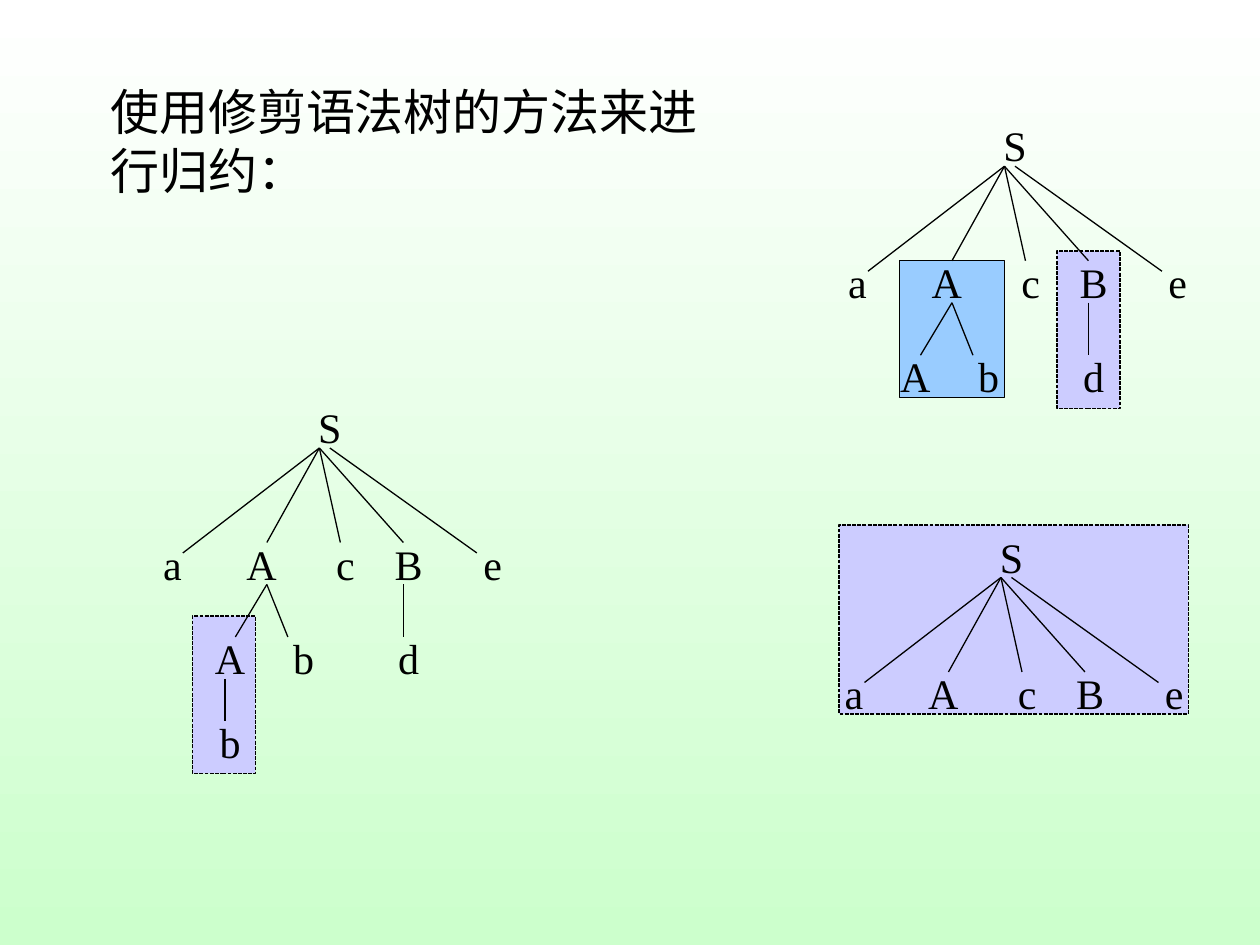
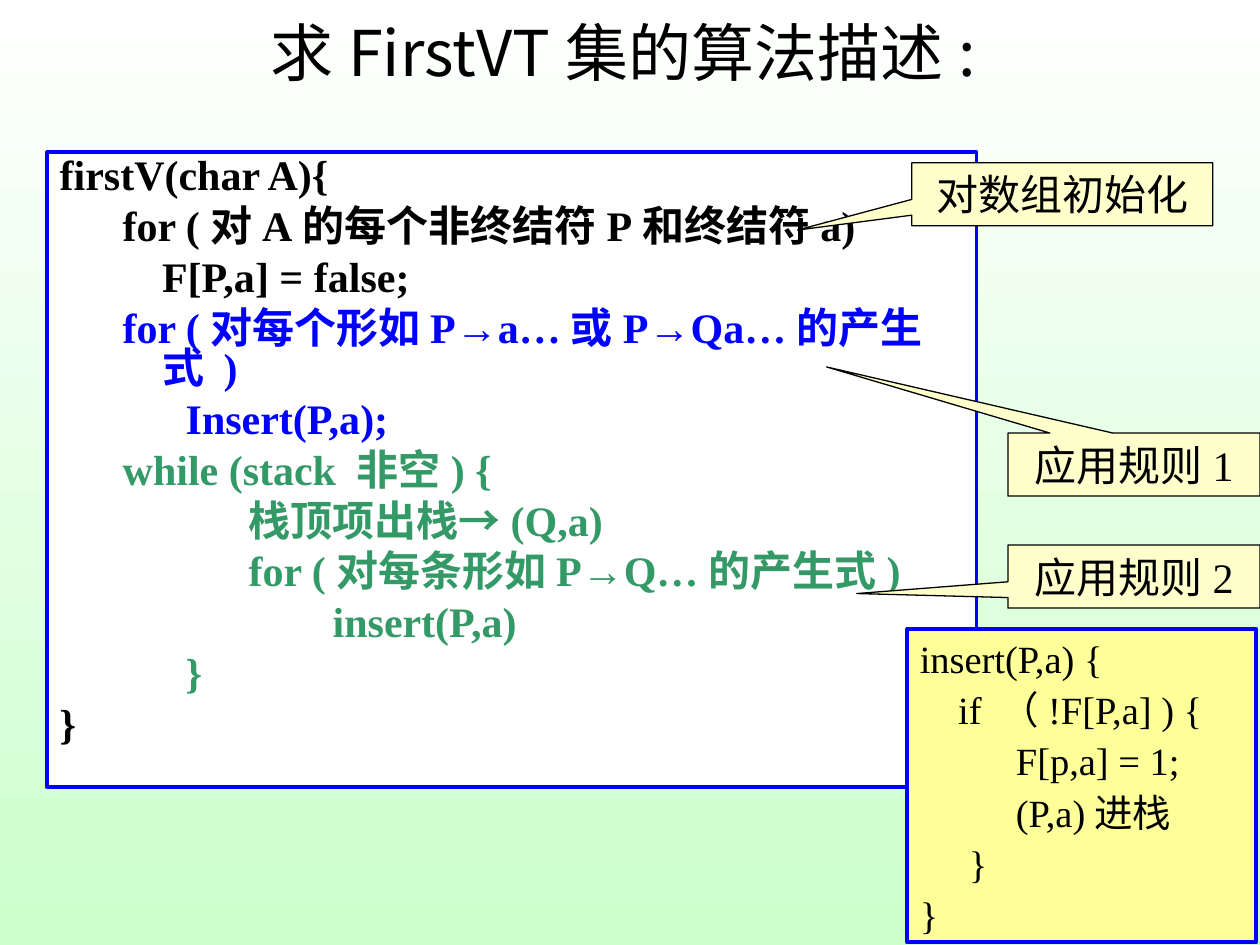
from lxml.etree import SubElement
from pptx import Presentation
from pptx.dml.color import RGBColor
from pptx.enum.dml import MSO_LINE
from pptx.enum.shapes import MSO_CONNECTOR, MSO_SHAPE
from pptx.enum.text import MSO_ANCHOR, MSO_AUTO_SIZE, PP_ALIGN
from pptx.oxml.ns import qn
from pptx.util import Pt

BLACK = "000000"
WHITE = "FFFFFF"
MINT = "CCFFCC"
BLUE = "0000FF"
GREEN = "339966"
LILAC = "CCCCFF"
SKY = "99CCFF"
CREAM = "FFFFCC"
YELLOW = "FFFF99"
LATIN_FONT = "Times New Roman"
CHINESE_FONT = "Noto Sans CJK SC"
ARROW_FONT = "Arial"

ROOT = [("S", 0, 0, 36)]
CHILDREN = [("a", -84, 78, 24), ("A", -36, 78, 30), ("c", 12, 78, 30),
            ("B", 48, 78, 30), ("e", 90, 78, 42)]
GRANDCHILDREN = [("A", -54, 132, 30), ("b", -12, 132, 30), ("d", 48, 132, 30)]
LEAF = [("b", -54, 180, 30)]

ROOT_BRANCHES = [(12, 30, -66, 90), (12, 30, -18, 84), (12, 30, 24, 84),
                 (12, 30, 60, 84), (18, 30, 102, 90)]
CHILD_BRANCHES = [(-18, 108, -36, 138), (-18, 108, -6, 138), (60, 108, 60, 138)]
LEAF_BRANCH = [(-42, 162, -42, 186)]

NODE_LEVELS = [ROOT, CHILDREN, GRANDCHILDREN, LEAF]
BRANCH_LEVELS = [[], ROOT_BRANCHES, CHILD_BRANCHES, LEAF_BRANCH]

FIRST_VT_CODE = [
    ("firstV(char A){", 0, BLACK),
    ("for (对A的每个非终结符P和终结符a)", 36, BLACK),
    ("F[P,a] = false;", 58.5, BLACK),
    ("for (对每个形如P→a…或P→Qa…的产生式 )", 36, BLUE),
    ("Insert(P,a);", 72, BLUE),
    ("while (stack 非空) {", 36, GREEN),
    ("栈顶项出栈→(Q,a)", 108, GREEN),
    ("for (对每条形如P→Q…的产生式)", 108, GREEN),
    ("insert(P,a)", 156, GREEN),
    ("}", 72, GREEN),
    ("}", 0, BLACK),
]
INSERT_CODE = [
    ("insert(P,a) {", 0, BLACK),
    ("if （!F[P,a] ) {", 22, BLACK),
    ("F[p,a] = 1;", 55, BLACK),
    ("(P,a)进栈", 55, BLACK),
    ("}", 28, BLACK),
    ("}", 0, BLACK),
]


def color(value):
    return RGBColor.from_string(value)


class Deck:
    def __init__(self):
        self.presentation = Presentation()
        self.presentation.slide_width = Pt(720)
        self.presentation.slide_height = Pt(540)
        self.slide = None
        fill = self.presentation.slide_master.background.fill
        fill.gradient()
        fill.gradient_angle = 270
        for stop, value in zip(fill.gradient_stops, (WHITE, MINT)):
            stop.color.rgb = color(value)

    def add_slide(self, layout_name):
        layout = self.presentation.slide_layouts.get_by_name(layout_name)
        self.slide = self.presentation.slides.add_slide(layout)

    def frame(self, shape, side_margin=7.2, anchor=MSO_ANCHOR.TOP):
        text_frame = shape.text_frame
        text_frame.word_wrap = True
        text_frame.auto_size = MSO_AUTO_SIZE.NONE
        text_frame.vertical_anchor = anchor
        text_frame.margin_left = text_frame.margin_right = Pt(side_margin)
        text_frame.margin_top = text_frame.margin_bottom = Pt(3.6)
        return text_frame

    def fill_paragraph(self, paragraph, text, size=24, align=PP_ALIGN.LEFT,
                       value=BLACK, bold=False, font_name=LATIN_FONT):
        for part in text.replace("→", "\n→\n").split("\n"):
            if part:
                run = paragraph.add_run()
                run.text = part
                if part == "→":
                    run.font.name = ARROW_FONT
        paragraph.alignment = align
        font = paragraph.font
        font.size = Pt(size)
        font.bold = bold
        font.color.rgb = color(value)
        font.name = font_name
        properties = paragraph._p.pPr.find(qn("a:defRPr"))
        SubElement(properties, qn("a:ea"), typeface=CHINESE_FONT)

    def title(self, text, left, top, width, height):
        shape = self.slide.shapes.title
        shape.left, shape.top = Pt(left), Pt(top)
        shape.width, shape.height = Pt(width), Pt(height)
        text_frame = self.frame(shape, anchor=MSO_ANCHOR.MIDDLE)
        self.fill_paragraph(text_frame.paragraphs[0], text, 36, PP_ALIGN.CENTER,
                            font_name=CHINESE_FONT)

    def text(self, text, left, top, width, height, size=24,
             align=PP_ALIGN.CENTER, side_margin=0):
        shape = self.slide.shapes.add_textbox(Pt(left), Pt(top), Pt(width), Pt(height))
        text_frame = self.frame(shape, side_margin)
        self.fill_paragraph(text_frame.paragraphs[0], text, size, align)

    def box(self, left, top, width, height, fill, line=BLACK, weight=0.75,
            kind=MSO_SHAPE.RECTANGLE, dash=None):
        shape = self.slide.shapes.add_shape(kind, Pt(left), Pt(top), Pt(width), Pt(height))
        shape.shadow.inherit = False
        shape.fill.solid()
        shape.fill.fore_color.rgb = color(fill)
        shape.line.color.rgb = color(line)
        shape.line.width = Pt(weight)
        if dash:
            shape.line.dash_style = dash
        return shape

    def code(self, lines, left, top, width, height, fill, size, space_before,
             line_spacing=1.0, bold=False, hanging=0):
        shape = self.box(left, top, width, height, fill, BLUE, 2.25)
        text_frame = self.frame(shape)
        for index, (text, indent, value) in enumerate(lines):
            paragraph = text_frame.add_paragraph() if index else text_frame.paragraphs[0]
            paragraph.space_before = Pt(space_before)
            paragraph.line_spacing = line_spacing
            self.fill_paragraph(paragraph, text, size, value=value, bold=bold)
            properties = paragraph._p.pPr
            properties.set("marL", str(Pt(indent + hanging)))
            properties.set("indent", str(Pt(-hanging)))

    def callout(self, text, left, top, width, pointer):
        shape = self.box(left, top, width, 36, CREAM,
                         kind=MSO_SHAPE.RECTANGULAR_CALLOUT)
        shape.adjustments[0], shape.adjustments[1] = pointer
        text_frame = self.frame(shape)
        self.fill_paragraph(text_frame.paragraphs[0], text, align=PP_ALIGN.CENTER)

    def line(self, start_x, start_y, end_x, end_y):
        connector = self.slide.shapes.add_connector(
            MSO_CONNECTOR.STRAIGHT, Pt(start_x), Pt(start_y), Pt(end_x), Pt(end_y))
        connector.line.color.rgb = color(BLACK)
        connector.line.width = Pt(0.75)
        SubElement(connector._element.spPr, qn("a:effectLst"))

    def tree(self, left, top, depth):
        for nodes in NODE_LEVELS[:depth]:
            for label, x, y, width in nodes:
                self.text(label, left + x, top + y, width, 36)
        for branches in BRANCH_LEVELS[:depth]:
            for start_x, start_y, end_x, end_y in branches:
                self.line(left + start_x, top + start_y, left + end_x, top + end_y)


def build_tree_slide(deck):
    deck.add_slide("Blank")
    for left, top, width, height in ((479.5, 300, 199.5, 108), (604, 143.5, 36, 90),
                                     (110, 352, 36, 90)):
        deck.box(left, top, width, height, LILAC, dash=MSO_LINE.SQUARE_DOT)
    deck.box(514, 149, 60, 78, SKY)
    deck.text("使用修剪语法树的方法来进行归约：", 56, 43, 351.5, 112, size=28,
              align=PP_ALIGN.LEFT, side_margin=7.2)
    for left, top, depth in ((562, 65, 3), (170.5, 226, 4), (560, 300, 2)):
        deck.tree(left, top, depth)


def build_algorithm_slide(deck):
    deck.add_slide("Title Only")
    deck.title("求FirstVT集的算法描述:", 46, 0, 620, 59)
    deck.code(FIRST_VT_CODE, 27, 87, 531, 363, WHITE, 24, 6,
              line_spacing=0.8, bold=True, hanging=22.5)
    deck.code(INSERT_CODE, 518.5, 359.5, 199.5, 179, YELLOW, 22, 2.8)
    deck.callout("对数组初始化", 521, 93, 172, (-0.88, 0.57))
    deck.callout("应用规则1", 576, 247.5, 144, (-1.22, -1.55))
    deck.callout("应用规则2", 576, 311.5, 144, (-1.1, 0.27))


def main():
    deck = Deck()
    build_tree_slide(deck)
    build_algorithm_slide(deck)
    deck.presentation.save("out.pptx")


if __name__ == "__main__":
    main()
